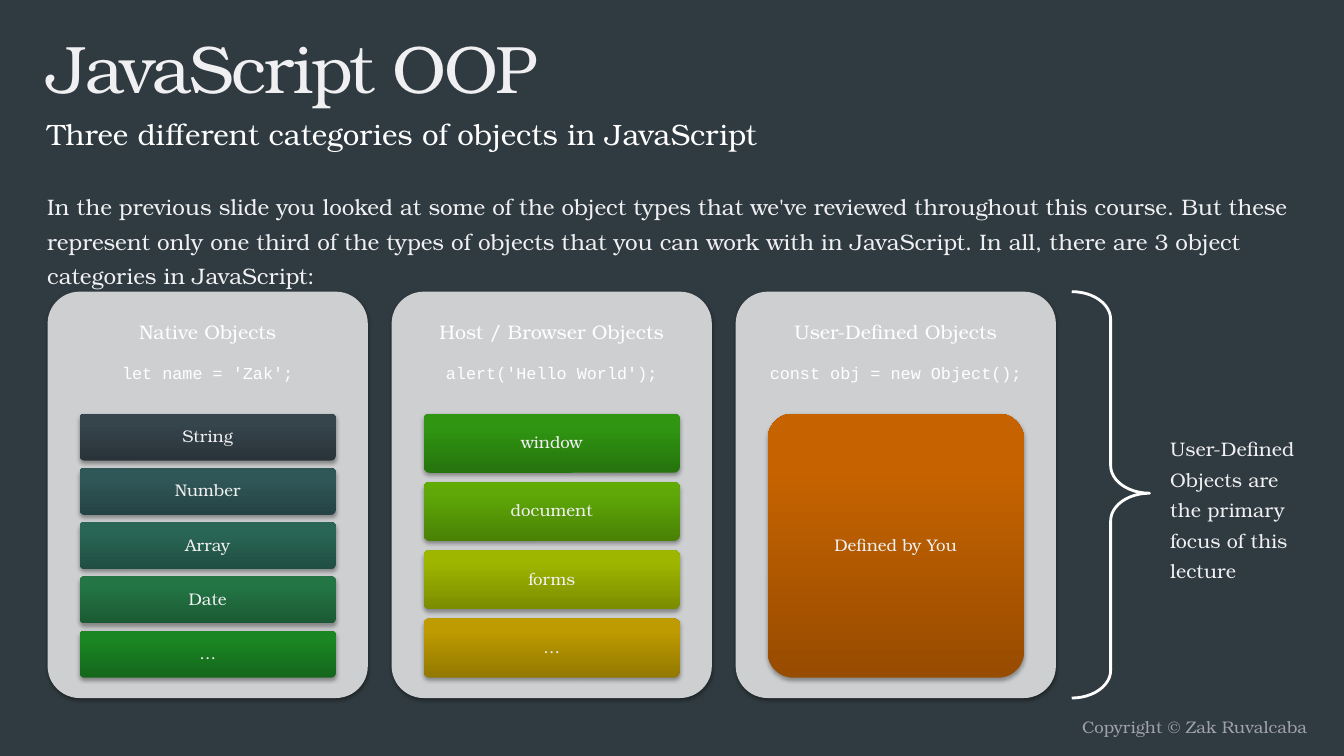
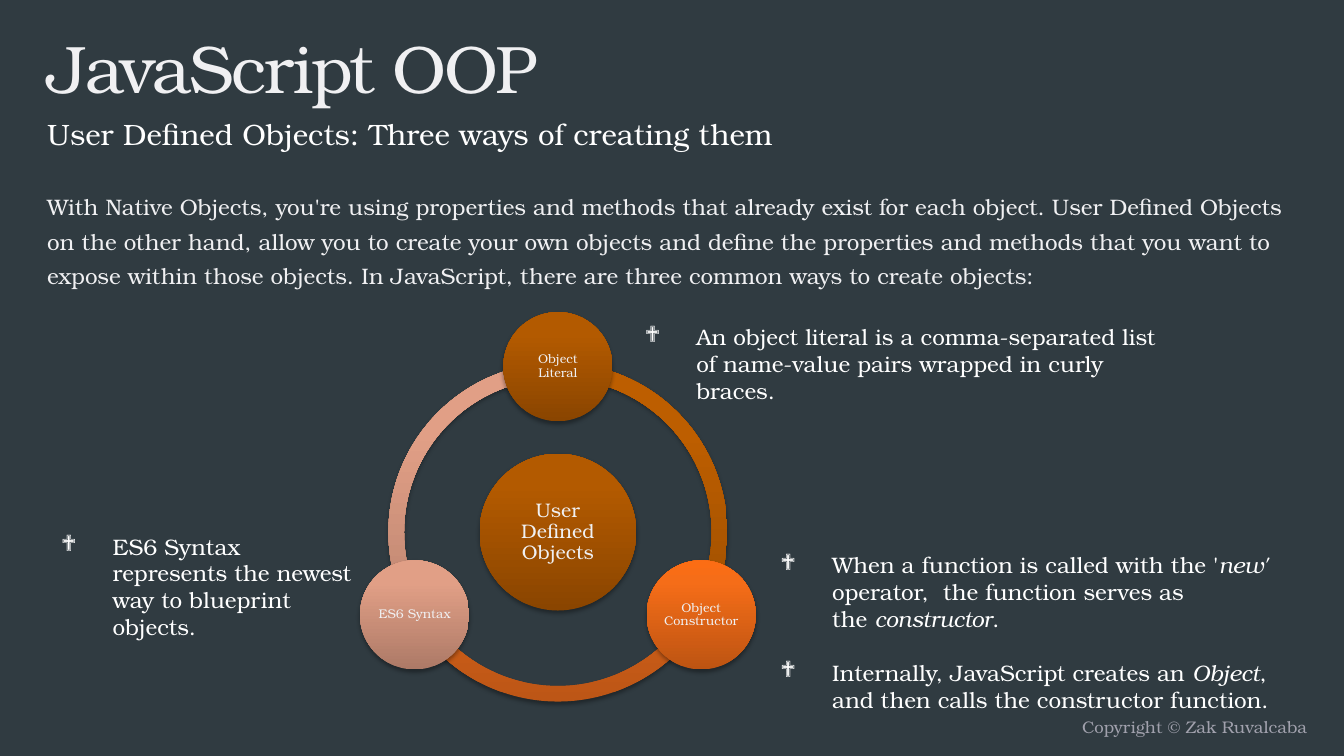
import dataclasses
import math

import pptx
import pptx.dml.color
import pptx.enum.shapes
import pptx.enum.text
import pptx.oxml
import pptx.oxml.ns
import pptx.util
from lxml import etree

Cm = pptx.util.Cm
Pt = pptx.util.Pt
Shapes = pptx.enum.shapes.MSO_SHAPE
Align = pptx.enum.text.PP_ALIGN
Anchor = pptx.enum.text.MSO_ANCHOR
qn = pptx.oxml.ns.qn

SERIF = "TeX Gyre Bonum"
MONO = "Liberation Mono"
HARD_SPACE = chr(160)
BACKGROUND = "303B41"
PANEL = "CECFD0"
WHITE = "FFFFFF"
PALE = "F0F0F2"
MUTED = "A1A1AD"

PANEL_LEFT, PANEL_TOP = 1.2, 7.35
PANEL_WIDTH, PANEL_HEIGHT = 8.07, 10.24
PANEL_PITCH = 8.67
BAR_GAP_RATIO = 0.154

RING_X, RING_Y = 14.06, 13.41
RING_SIZE, HUB_SIZE, NODE_SIZE = 8.54, 3.95, 2.75
ORBIT = 4.17
ARC_SWEEP = 120
ARC_THICKNESS = 0.046


@dataclasses.dataclass(frozen=True)
class Box:
    left: float
    top: float
    width: float
    height: float

    def lengths(self):
        return Cm(self.left), Cm(self.top), Cm(self.width), Cm(self.height)


@dataclasses.dataclass(frozen=True)
class Shade:
    bottom: str
    middle: str
    top: str


@dataclasses.dataclass(frozen=True)
class Bar:
    text: str
    shade: Shade


@dataclasses.dataclass(frozen=True)
class Panel:
    heading: str
    code: str
    bars: tuple[Bar, ...]


@dataclasses.dataclass(frozen=True)
class Node:
    text: str
    angle: int
    shade: Shade
    arc_shade: Shade


@dataclasses.dataclass(frozen=True)
class Note:
    box: Box
    paragraphs: tuple[str, ...]


BROWN = Shade("8A4500", "B35A00", "B45A00")

PANELS = (
    Panel("Native Objects", "let name = 'Zak';", (
        Bar("String", Shade("29343A", "36444B", "36444C")),
        Bar("Number", Shade("254344", "305758", "305859")),
        Bar("Array", Shade("204F42", "2A6655", "296856")),
        Bar("Date", Shade("1B5A34", "237544", "217744")),
        Bar("…", Shade("14671B", "1A8523", "188822")),
    )),
    Panel("Host / Browser Objects", "alert('Hello World');", (
        Bar("window", Shade("25740D", "309611", "2F990F")),
        Bar("document", Shade("498105", "5FA807", "60AC04")),
        Bar("forms", Shade("7A8C00", "9EB600", "9FB700")),
        Bar("…", Shade("927800", "BE9B00", "BF9C00")),
    )),
    Panel("User-Defined Objects", "const obj = new Object();", (
        Bar("Defined by You", Shade("984C00", "C66300", "C76300")),
    )),
)

NODES = (
    Node("Object Literal", 270, BROWN, Shade("914900", "BD5E00", "BE5F00")),
    Node("Object Constructor", 30, Shade("BD5412", "F56D18", "FB6D14"),
         Shade("BD5616", "F5701C", "FB7018")),
    Node("ES6 Syntax", 150, Shade("AD7A67", "E19F86", "E39F85"),
         Shade("AD7A67", "E19F86", "E39E85")),
)

NOTES = (
    Note(Box(16, 8.03, 13.51, 1.63), (
        "An object literal is a comma-separated list of name-value pairs "
        "wrapped in curly braces.",
    )),
    Note(Box(19.42, 13.77, 13.39, 3.68), (
        f"When a function is called with the{HARD_SPACE}'*new' *operator,  "
        f"the function serves as the{HARD_SPACE}*constructor*.",
        f"Internally, JavaScript creates an{HARD_SPACE}*Object*, "
        "and then calls the constructor function.",
    )),
    Note(Box(1.29, 13.3, 7.87, 2.31), (
        "ES6 Syntax represents the newest way to blueprint objects.",
    )),
)


def colour(value: str):
    return pptx.dml.color.RGBColor.from_string(value)


def add_bullet(para):
    properties = para._p.get_or_add_pPr()
    properties.set("marL", str(Cm(1.3)))
    properties.set("indent", str(-Cm(1.3)))
    bullet_colour = etree.SubElement(properties, qn("a:buClr"))
    etree.SubElement(bullet_colour, qn("a:srgbClr"), val=WHITE)
    etree.SubElement(properties, qn("a:buFont"), typeface="Wingdings", charset="2")
    etree.SubElement(properties, qn("a:buChar"), char="❖")


def write(shape, *paragraphs: str, size=16, font=SERIF, ink=PALE, align=Align.LEFT,
          anchor=Anchor.TOP, inset=None, line=1.0, before=0, tracking=0, bullet=False):
    frame = shape.text_frame
    frame.word_wrap = True
    frame.vertical_anchor = anchor
    if inset is not None:
        frame.margin_left = frame.margin_right = Cm(inset)
        frame.margin_top = frame.margin_bottom = Cm(inset)
    for index, text in enumerate(paragraphs):
        para = frame.add_paragraph() if index else frame.paragraphs[0]
        para.alignment = align
        para.line_spacing = line
        if index:
            para.space_before = Pt(before)
        if bullet:
            add_bullet(para)
        for position, part in enumerate(text.split("*")):
            if not part:
                continue
            span = para.add_run()
            span.text = part
            span.font.name = font
            span.font.size = Pt(size)
            span.font.italic = position % 2 == 1
            span.font.color.rgb = colour(ink)
            if tracking:
                span._r.get_or_add_rPr().set("spc", str(int(tracking * 100)))


def add_text(page, box: Box, *paragraphs: str, **style):
    write(page.shapes.add_textbox(*box.lengths()), *paragraphs, **style)


def fill_shade(shape, shade: Shade):
    shape.fill.gradient()
    shape.fill.gradient_angle = 90
    stops = shape.element.spPr.find(qn("a:gradFill")).find(qn("a:gsLst"))
    for stop in list(stops):
        stops.remove(stop)
    for position, value in ((0, shade.bottom), (80, shade.middle), (100, shade.top)):
        stop = etree.SubElement(stops, qn("a:gs"), pos=str(position * 1000))
        etree.SubElement(stop, qn("a:srgbClr"), val=value)


def add_soft_shadow(shape):
    shape.shadow.inherit = False
    effects = shape.element.spPr.find(qn("a:effectLst"))
    shadow = etree.SubElement(effects, qn("a:outerShdw"), blurRad=str(Pt(3.1)),
                              dist=str(Pt(1.8)), dir="5400000", rotWithShape="0")
    black = etree.SubElement(shadow, qn("a:srgbClr"), val="000000")
    etree.SubElement(black, qn("a:alpha"), val="35000")


def add_card(page, kind, box: Box, paint, adjustments=()):
    shape = page.shapes.add_shape(kind, *box.lengths())
    for index, value in enumerate(adjustments):
        shape.adjustments[index] = value
    if isinstance(paint, Shade):
        fill_shade(shape, paint)
    else:
        shape.fill.solid()
        shape.fill.fore_color.rgb = colour(paint)
    shape.line.fill.background()
    add_soft_shadow(shape)
    return shape


def label(shape, text: str, size: int, inset: float):
    write(shape, text, size=size, inset=inset, line=0.9,
          align=Align.CENTER, anchor=Anchor.MIDDLE)


def add_page(deck, subtitle: str, body: str):
    page = deck.slides.add_slide(deck.slide_layouts[6])
    page.background.fill.solid()
    page.background.fill.fore_color.rgb = colour(BACKGROUND)
    add_text(page, Box(16.94, 17.93, 16.26, 0.79), "Copyright © Zak Ruvalcaba",
             size=12, ink=MUTED, align=Align.RIGHT)
    add_text(page, Box(0.94, 0.53, 29.87, 2), "JavaScript OOP", size=48, tracking=-1.5)
    add_text(page, Box(0.94, 4.53, 31.95, 2.29), body, line=1.3)
    add_text(page, Box(0.94, 2.53, 29.87, 1), subtitle, size=21, ink=WHITE, line=1.3)
    return page


def draw_panel(page, panel: Panel, left: float):
    add_card(page, Shapes.ROUNDED_RECTANGLE,
             Box(left, PANEL_TOP, PANEL_WIDTH, PANEL_HEIGHT), PANEL, (0.1,))
    for text, offset, size, font in ((panel.heading, 0.51, 14, SERIF),
                                     (panel.code, 1.55, 12, MONO)):
        add_text(page, Box(left, PANEL_TOP + offset, PANEL_WIDTH, 1), text, size=size,
                 font=font, ink=WHITE, align=Align.CENTER, anchor=Anchor.MIDDLE)
    count = len(panel.bars)
    height = 0.65 * PANEL_HEIGHT / (count + (count - 1) * BAR_GAP_RATIO)
    for index, bar in enumerate(panel.bars):
        top = PANEL_TOP + 0.3 * PANEL_HEIGHT + index * height * (1 + BAR_GAP_RATIO)
        box = Box(left + 0.1 * PANEL_WIDTH, top, 0.8 * PANEL_WIDTH, height)
        label(add_card(page, Shapes.ROUNDED_RECTANGLE, box, bar.shade, (0.1,)),
              bar.text, 12, 0.08)


def centred(x: float, y: float, size: float) -> Box:
    return Box(x - size / 2, y - size / 2, size, size)


def draw_ring(page):
    for node in reversed(NODES):
        end = (node.angle + ARC_SWEEP) % 360
        add_card(page, Shapes.BLOCK_ARC, centred(RING_X, RING_Y, RING_SIZE), node.arc_shade,
                 (node.angle * 0.6, end * 0.6, ARC_THICKNESS))
    hub = add_card(page, Shapes.OVAL, centred(RING_X, RING_Y, HUB_SIZE), BROWN)
    label(hub, "User Defined Objects", 14, 0.05)
    for node in NODES:
        turn = math.radians(node.angle)
        box = centred(RING_X + ORBIT * math.cos(turn), RING_Y + ORBIT * math.sin(turn),
                      NODE_SIZE)
        label(add_card(page, Shapes.OVAL, box, node.shade), node.text, 9, 0.03)


def build_categories(deck):
    page = add_page(
        deck, "Three different categories of objects in JavaScript",
        "In the previous slide you looked at some of the object types that we've reviewed "
        "throughout this course. But these represent only one third of the types of objects "
        "that you can work with in JavaScript. In all, there are 3 object categories in "
        "JavaScript:")
    for index, panel in enumerate(PANELS):
        draw_panel(page, panel, PANEL_LEFT + index * PANEL_PITCH)
    brace = page.shapes.add_shape(Shapes.RIGHT_BRACE,
                                  *Box(27.01, PANEL_TOP, 1.96, PANEL_HEIGHT).lengths())
    brace.adjustments[0], brace.adjustments[1] = 0.356, 0.496
    brace.fill.background()
    brace.line.color.rgb = colour(WHITE)
    brace.line.width = Pt(2)
    brace.shadow.inherit = False
    add_text(page, Box(29.24, 10.71, 3.96, 3.53),
             "User-Defined Objects are the primary focus of this lecture", size=14, line=1.3)


def build_creation(deck):
    page = add_page(
        deck, "User Defined Objects: Three ways of creating them",
        "With Native Objects, you're using properties and methods that already exist for each "
        "object. User Defined Objects on the other hand, allow you to create your own objects "
        "and define the properties and methods that you want to expose within those objects. "
        "In JavaScript, there are three common ways to create objects:")
    draw_ring(page)
    for note in NOTES:
        add_text(page, note.box, *note.paragraphs, ink=WHITE, before=19.3, bullet=True)


def main():
    deck = pptx.Presentation()
    deck.slide_width, deck.slide_height = Cm(33.87), Cm(19.05)
    build_categories(deck)
    build_creation(deck)
    deck.save("out.pptx")


if __name__ == "__main__":
    main()
